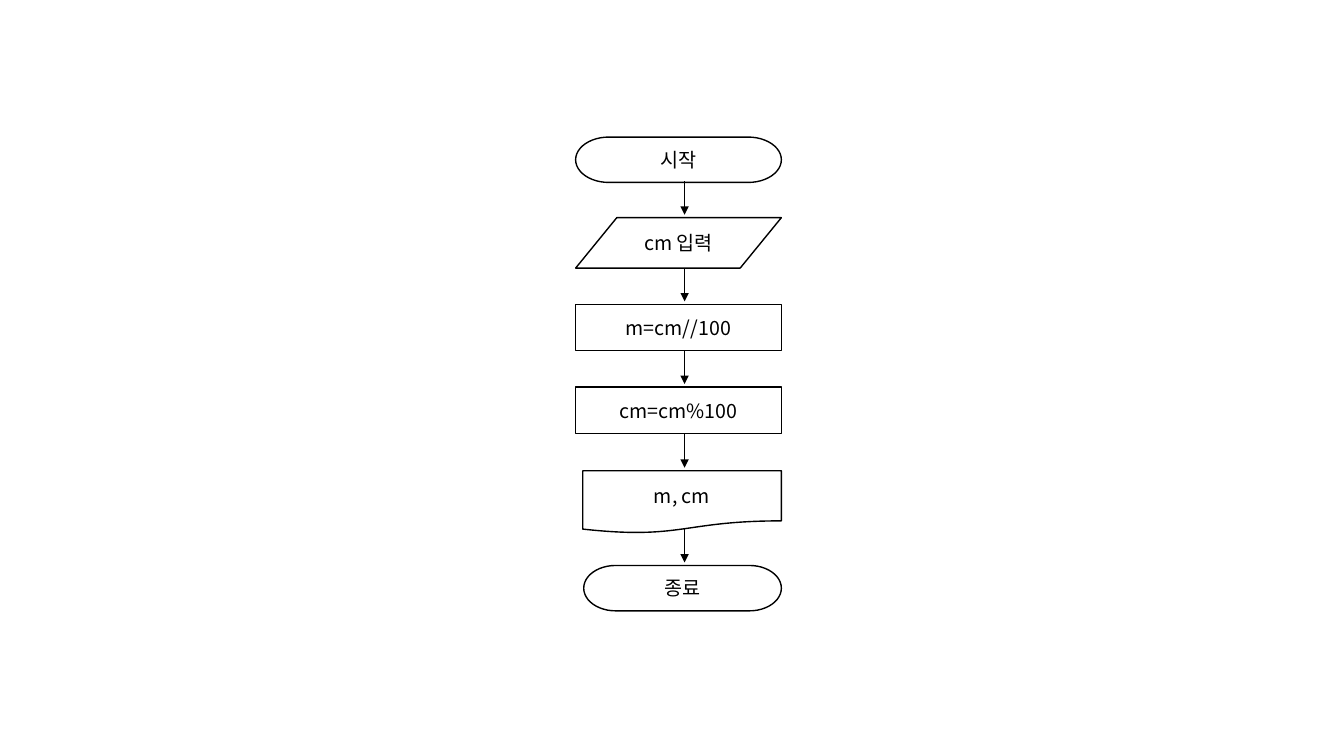
from lxml import etree
from pptx import Presentation
from pptx.dml.color import RGBColor
from pptx.enum.lang import MSO_LANGUAGE_ID as Lang
from pptx.enum.shapes import MSO_CONNECTOR, MSO_SHAPE as Shape
from pptx.enum.text import MSO_ANCHOR, PP_ALIGN
from pptx.oxml.ns import qn
from pptx.util import Inches, Pt

# Content: text, shape, top, width, height (inches)
STEPS = [
    ("시작", Shape.FLOWCHART_TERMINATOR, 1.36, 2.04, 0.45),
    ("cm 입력", Shape.FLOWCHART_DATA, 2.16, 2.04, 0.50),
    ("m=cm//100", Shape.FLOWCHART_PROCESS, 3.02, 2.04, 0.46),
    ("cm=cm%100", Shape.FLOWCHART_PROCESS, 3.84, 2.04, 0.46),
    ("m, cm", Shape.FLOWCHART_DOCUMENT, 4.67, 1.97, 0.62),
    ("종료", Shape.FLOWCHART_TERMINATOR, 5.61, 1.96, 0.45),
]
COLORS = {"ink": "000000"}
FONT = "Noto Sans CJK KR"
RIGHT = 7.75        # shared right edge of all steps
ARROW_X = 6.79
ARROW_LENGTH = 0.33
ARROW_GAP = 0.03    # space between arrowhead and next step


def set_line(line, width):
    line.color.rgb = RGBColor.from_string(COLORS["ink"])
    line.width = Pt(width)


def add_step(s, text, kind, top, width, height):
    sp = s.shapes.add_shape(kind, Inches(RIGHT - width), Inches(top),
                            Inches(width), Inches(height))
    sp.shadow.inherit = False
    sp.fill.background()
    set_line(sp.line, 1)
    tf = sp.text_frame
    tf.word_wrap = True
    tf.vertical_anchor = MSO_ANCHOR.MIDDLE
    p = tf.paragraphs[0]
    p.alignment = PP_ALIGN.CENTER
    r = p.add_run()
    r.text = text
    r.font.size = Pt(14)
    r.font.name = FONT
    r.font.language_id = Lang.KOREAN
    r.font.color.rgb = RGBColor.from_string(COLORS["ink"])
    etree.SubElement(r.font._element, qn("a:ea")).set("typeface", FONT)


def add_arrow(s, next_top):
    end = next_top - ARROW_GAP
    arrow = s.shapes.add_connector(
        MSO_CONNECTOR.STRAIGHT, Inches(ARROW_X), Inches(end - ARROW_LENGTH),
        Inches(ARROW_X), Inches(end))
    set_line(arrow.line, 0.5)
    ln = arrow.line._get_or_add_ln()
    etree.SubElement(ln, qn("a:tailEnd")).set("type", "triangle")
    etree.SubElement(arrow._element.spPr, qn("a:effectLst"))


# Slide
prs = Presentation()
prs.slide_width, prs.slide_height = Inches(13.33), Inches(7.5)
s = prs.slides.add_slide(prs.slide_layouts[6])

# Flowchart: every step, then an arrow into each step after the first
for step in STEPS:
    add_step(s, *step)
for _, _, top, _, _ in STEPS[1:]:
    add_arrow(s, top)

prs.save("out.pptx")
